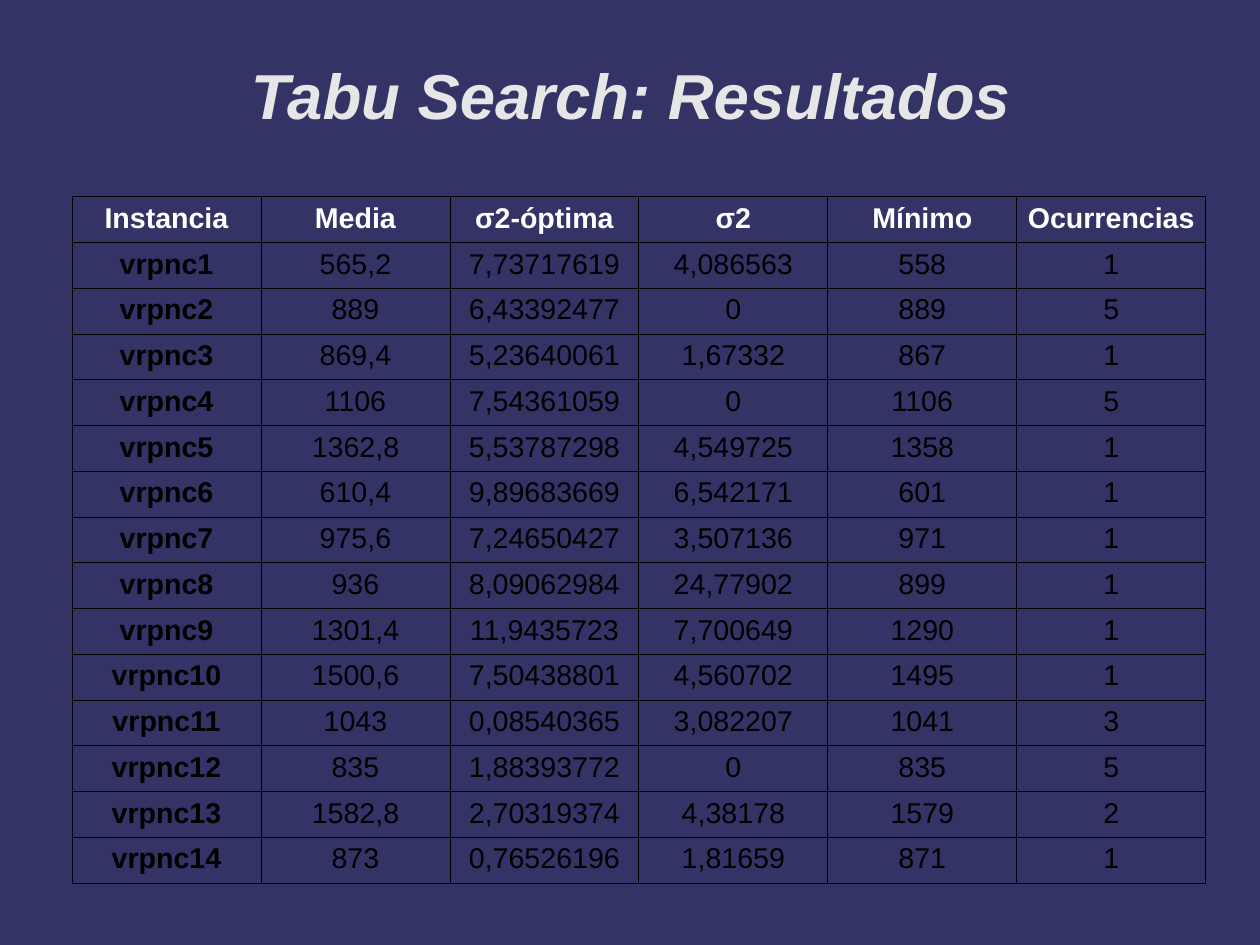
from dataclasses import dataclass

from lxml import etree
from pptx import Presentation
from pptx.dml.color import RGBColor
from pptx.enum.text import MSO_ANCHOR, PP_ALIGN
from pptx.oxml.ns import qn
from pptx.util import Inches, Pt

CENTER = PP_ALIGN.CENTER
MIDDLE = MSO_ANCHOR.MIDDLE
TOP = MSO_ANCHOR.TOP
CM_PER_INCH = 2.54


@dataclass(frozen=True)
class Theme:
    """Colours, font and type sizes of the slide."""
    background: str = "333366"
    title: str = "E6E6E6"
    header: str = "FFFFFF"
    body: str = "000000"
    border: str = "000000"
    font: str = "Arial"
    title_size: float = 40
    table_size: float = 18
    border_width: float = 0.57


THEME = Theme()

HEADERS = ("Instancia", "Media", "σ2-óptima", "σ2", "Mínimo", "Ocurrencias")
RESULTS = (
    ("565,2", "7,73717619", "4,086563", "558", "1"),
    ("889", "6,43392477", "0", "889", "5"),
    ("869,4", "5,23640061", "1,67332", "867", "1"),
    ("1106", "7,54361059", "0", "1106", "5"),
    ("1362,8", "5,53787298", "4,549725", "1358", "1"),
    ("610,4", "9,89683669", "6,542171", "601", "1"),
    ("975,6", "7,24650427", "3,507136", "971", "1"),
    ("936", "8,09062984", "24,77902", "899", "1"),
    ("1301,4", "11,9435723", "7,700649", "1290", "1"),
    ("1500,6", "7,50438801", "4,560702", "1495", "1"),
    ("1043", "0,08540365", "3,082207", "1041", "3"),
    ("835", "1,88393772", "0", "835", "5"),
    ("1582,8", "2,70319374", "4,38178", "1579", "2"),
    ("873", "0,76526196", "1,81659", "871", "1"),
)


def add_span(frame, text, size, color, bold=False, italic=False):
    """Write one centred run into the first paragraph of a text frame."""
    para = frame.paragraphs[0]
    para.alignment = CENTER
    span = para.add_run()
    span.text = text
    span.font.name = THEME.font
    span.font.size = Pt(size)
    span.font.bold = bold
    span.font.italic = italic
    span.font.color.rgb = RGBColor.from_string(color)


def add_title(page, text):
    """Add the slide title in a box without insets."""
    box = page.shapes.add_textbox(Inches(0.81), Inches(0.13), Inches(9.41), Inches(1.38))
    frame = box.text_frame
    frame.word_wrap = True
    frame.vertical_anchor = MIDDLE
    frame.margin_left = frame.margin_right = Inches(0)
    frame.margin_top = frame.margin_bottom = Inches(0)
    add_span(frame, text, THEME.title_size, THEME.title, bold=True, italic=True)


def set_borders(cell):
    """Draw a thin solid line on the four sides of a cell."""
    properties = cell._tc.get_or_add_tcPr()
    for position, side in enumerate(("a:lnL", "a:lnR", "a:lnT", "a:lnB")):
        line = etree.Element(qn(side), w=str(Pt(THEME.border_width)))
        fill = etree.SubElement(line, qn("a:solidFill"))
        etree.SubElement(fill, qn("a:srgbClr"), val=THEME.border)
        properties.insert(position, line)


def fill_cell(cell, text, color, bold):
    """Give a cell its text, insets, borders and clear background."""
    cell.margin_left = cell.margin_right = Inches(0.04)
    cell.margin_top = cell.margin_bottom = Inches(0.05)
    cell.vertical_anchor = TOP
    cell.fill.background()
    set_borders(cell)
    add_span(cell.text_frame, text, THEME.table_size, color, bold)


def add_results_table(page):
    """Add the table with one row for each problem instance."""
    rows = [HEADERS]
    rows += [(f"vrpnc{number}", *values) for number, values in enumerate(RESULTS, 1)]
    row_height = Inches(0.4)
    frame = page.shapes.add_table(
        len(rows), len(HEADERS), Inches(0.63), Inches(1.72),
        Inches(9.92), row_height * len(rows))
    table = frame.table
    table.first_row = False
    table.horz_banding = False
    for row_index, values in enumerate(rows):
        table.rows[row_index].height = row_height
        is_header = row_index == 0
        color = THEME.header if is_header else THEME.body
        for column_index, text in enumerate(values):
            bold = is_header or column_index == 0
            fill_cell(table.cell(row_index, column_index), text, color, bold)


def main():
    """Build the results slide and save the deck."""
    deck = Presentation()
    deck.slide_width = Inches(28 / CM_PER_INCH)
    deck.slide_height = Inches(21 / CM_PER_INCH)
    page = deck.slides.add_slide(deck.slide_layouts[6])
    page.background.fill.solid()
    page.background.fill.fore_color.rgb = RGBColor.from_string(THEME.background)
    add_title(page, "Tabu Search: Resultados")
    add_results_table(page)
    deck.save("out.pptx")


if __name__ == "__main__":
    main()
